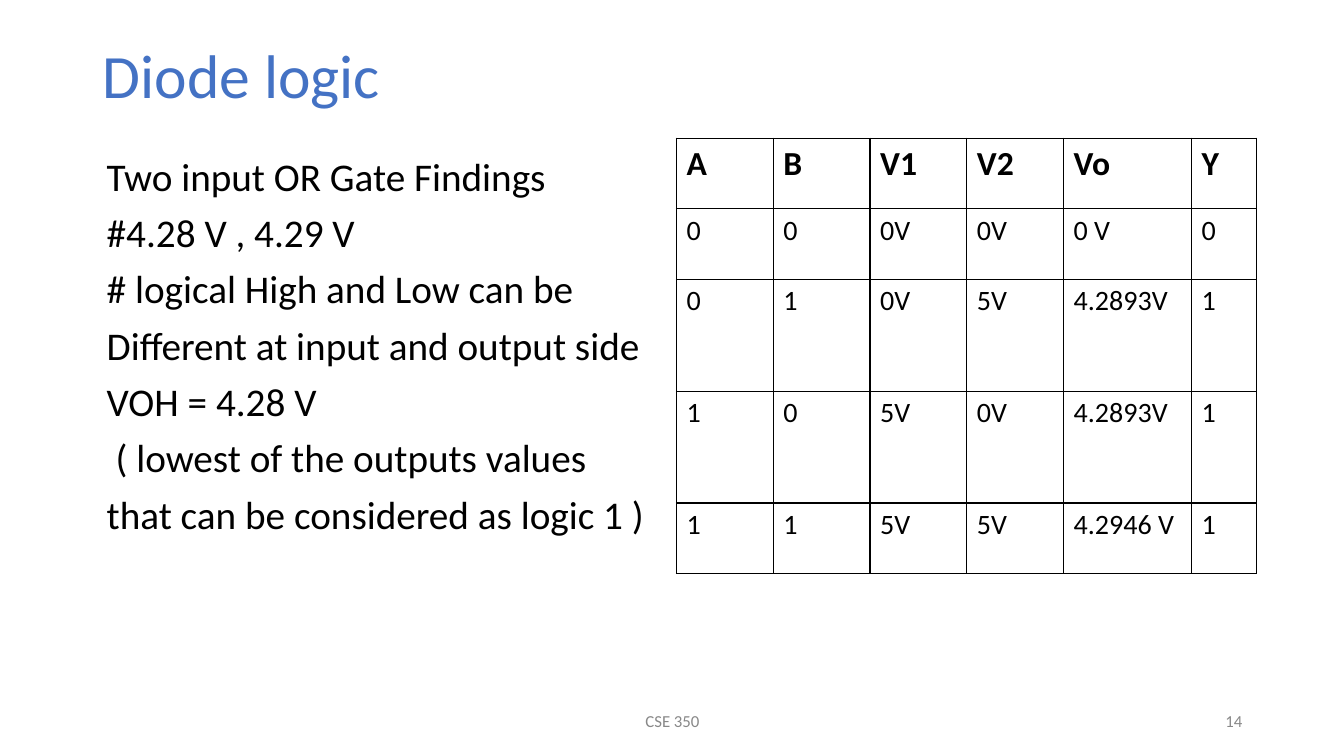
from dataclasses import dataclass

from lxml import etree
from pptx import Presentation
from pptx.dml.color import RGBColor
from pptx.enum.text import MSO_ANCHOR, PP_ALIGN
from pptx.oxml.ns import qn
from pptx.util import Emu, Pt

LEFT, CENTER, RIGHT = PP_ALIGN.LEFT, PP_ALIGN.CENTER, PP_ALIGN.RIGHT
TOP, MIDDLE = MSO_ANCHOR.TOP, MSO_ANCHOR.MIDDLE
FONT = "Calibri"
BLACK, BLUE, GRAY = "000000", "4472C4", "888888"


def px(n: int) -> Emu:
    """One inch is 100 px."""
    return Emu(n * 9144)


def rgb(color: str) -> RGBColor:
    return RGBColor.from_string(color)


@dataclass
class TextBox:
    lines: list[str]
    left: int
    top: int
    width: int
    height: int
    size: int
    color: str
    align: PP_ALIGN = LEFT
    anchor: MSO_ANCHOR = MIDDLE
    spacing: float = 1.0
    indent: int = 0


TEXT_BOXES = [
    TextBox(["Diode logic"], 92, 40, 1150, 76, 44, BLUE, spacing=0.9),
    TextBox(["CSE 350"], 442, 695, 450, 40, 12, GRAY, CENTER),
    TextBox(["14"], 942, 695, 300, 40, 12, GRAY, RIGHT),
    TextBox(["Two input OR Gate Findings",
             "#4.28 V , 4.29 V",
             "# logical High and Low can be",
             "Different at input and output side",
             "VOH = 4.28 V",
             " ( lowest of the outputs values",
             "that can be considered as logic 1 )"],
            84, 151, 1158, 516, 28, BLACK, anchor=TOP, spacing=0.9, indent=12),
]

TRUTH_TABLE = [
    ["A", "B", "V1", "V2", "Vo", "Y"],
    ["0", "0", "0V", "0V", "0 V", "0"],
    ["0", "1", "0V", "5V", "4.2893V", "1"],
    ["1", "0", "5V", "0V", "4.2893V", "1"],
    ["1", "1", "5V", "5V", "4.2946 V", "1"],
]
COLUMN_WIDTHS = [96, 96, 96, 96, 127, 64]
ROW_HEIGHTS = [70, 70, 111, 111, 70]


def add_run(p, text: str, size: int, color: str, bold: bool = False) -> None:
    r = p.add_run()
    r.text = text
    r.font.name = FONT
    r.font.size = Pt(size)
    r.font.bold = bold
    r.font.color.rgb = rgb(color)


def add_text_box(s, box: TextBox) -> None:
    sp = s.shapes.add_textbox(px(box.left), px(box.top), px(box.width), px(box.height))
    tf = sp.text_frame
    tf.word_wrap = True
    tf.vertical_anchor = box.anchor
    for i, line in enumerate(box.lines):
        p = tf.add_paragraph() if i else tf.paragraphs[0]
        p.alignment = box.align
        p.line_spacing = box.spacing
        if i:
            p.space_before = Pt(10)
        if box.indent:
            p._p.get_or_add_pPr().set("marL", str(px(box.indent)))
        add_run(p, line, box.size, box.color)


def add_borders(cell) -> None:
    tc_pr = cell._tc.get_or_add_tcPr()
    for side in ("a:lnL", "a:lnR", "a:lnT", "a:lnB"):
        ln = etree.SubElement(tc_pr, qn(side), w=str(Pt(1)))
        fill = etree.SubElement(ln, qn("a:solidFill"))
        etree.SubElement(fill, qn("a:srgbClr"), val=BLACK)


def add_truth_table(s, left: int, top: int) -> None:
    frame = s.shapes.add_table(len(ROW_HEIGHTS), len(COLUMN_WIDTHS), px(left), px(top),
                               px(sum(COLUMN_WIDTHS)), px(sum(ROW_HEIGHTS)))
    table = frame.table
    table.first_row = table.horz_banding = False
    for column, width in zip(table.columns, COLUMN_WIDTHS):
        column.width = px(width)
    for row, height, values in zip(table.rows, ROW_HEIGHTS, TRUTH_TABLE):
        row.height = px(height)
        header = values is TRUTH_TABLE[0]
        for cell, value in zip(row.cells, values):
            add_borders(cell)
            cell.fill.background()
            add_run(cell.text_frame.paragraphs[0], value, 24 if header else 20,
                    BLACK, header)


def main() -> None:
    prs = Presentation()
    prs.slide_width, prs.slide_height = px(1333), px(750)
    s = prs.slides.add_slide(prs.slide_layouts[6])

    # Title, footer, slide number and findings
    for box in TEXT_BOXES:
        add_text_box(s, box)

    # Truth table of the OR gate
    add_truth_table(s, 671, 137)

    prs.save("out.pptx")


if __name__ == "__main__":
    main()
